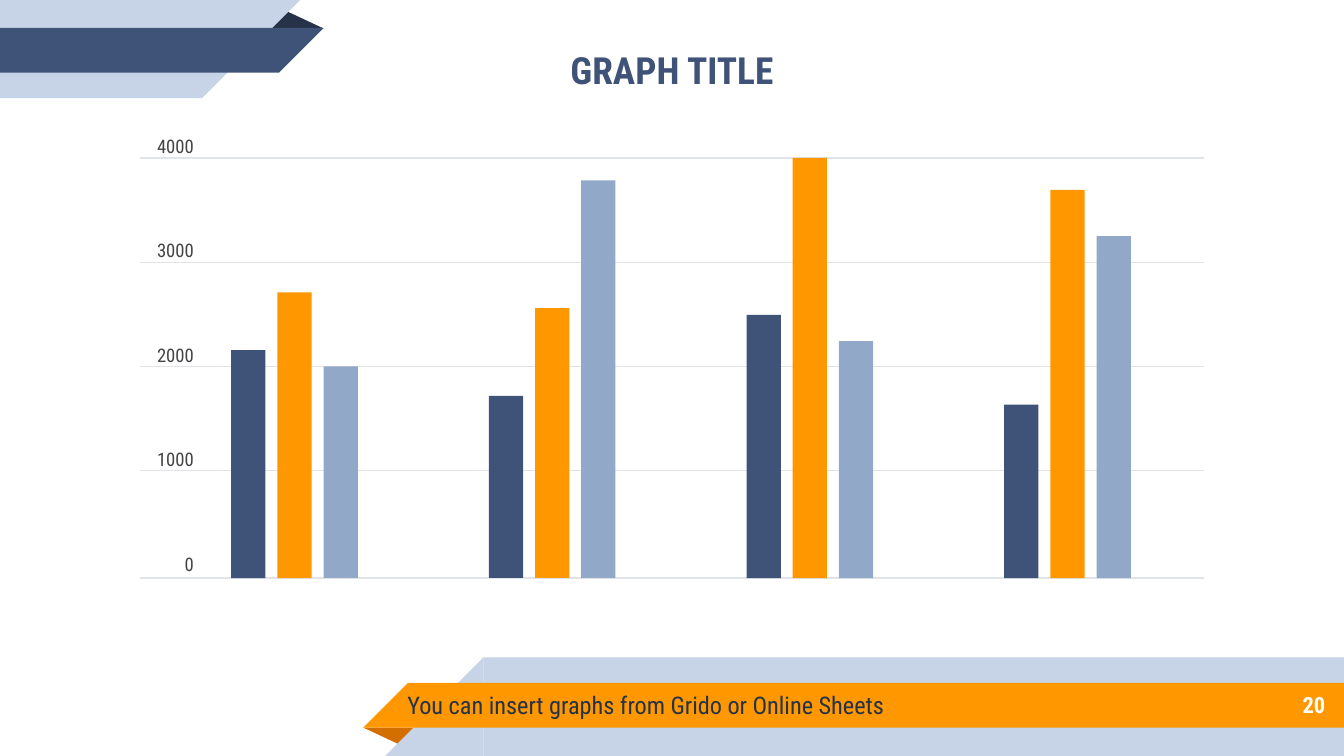
from pptx import Presentation
from pptx.dml.color import RGBColor
from pptx.enum.shapes import MSO_CONNECTOR, MSO_SHAPE
from pptx.enum.text import MSO_ANCHOR, PP_ALIGN
from pptx.oxml.ns import qn
from pptx.util import Pt
from lxml import etree

RECT, WEDGE, FOLD = MSO_SHAPE.RECTANGLE, MSO_SHAPE.RIGHT_TRIANGLE, MSO_SHAPE.ISOSCELES_TRIANGLE
LINE = MSO_CONNECTOR.STRAIGHT
LEFT, MID, RIGHT = PP_ALIGN.LEFT, PP_ALIGN.CENTER, PP_ALIGN.RIGHT
TOP, CENTRE = MSO_ANCHOR.TOP, MSO_ANCHOR.MIDDLE

NAVY = RGBColor(0x3F, 0x53, 0x78)
DARK = RGBColor(0x26, 0x32, 0x48)
PALE = RGBColor(0xC7, 0xD3, 0xE6)
BLUE = RGBColor(0x92, 0xA8, 0xC8)
ORANGE = RGBColor(0xFF, 0x98, 0x00)
RUST = RGBColor(0xD2, 0x6F, 0x00)
GRID = RGBColor(0xE0, 0xE4, 0xE9)
GREY = RGBColor(0x43, 0x43, 0x43)
WHITE = RGBColor(0xFF, 0xFF, 0xFF)
FONT = "Roboto Condensed"

# Content
TITLE = "GRAPH TITLE"
NOTE = "You can insert graphs from Grido or Online Sheets"
PAGE = "20"
TICKS = ["4000", "3000", "2000", "1000", "0"]
GROUPS = [(2170, 2720, 2015), (1735, 2570, 3785), (2505, 4000, 2255), (1650, 3695, 3255)]
COLORS = [NAVY, ORANGE, BLUE]

# Ribbons: kind, left, top, width, height, colour, turned by 180 degrees
RIBBONS = [
    (FOLD, 194.6, 389.8, 30.8, 9.8, RUST, True),
    (RECT, 259, 352.2, 461, 52.8, PALE, False),
    (WEDGE, 206.4, 352.2, 52.6, 52.8, PALE, False),
    (RECT, 218.5, 365.9, 501.5, 23.9, ORANGE, False),
    (WEDGE, 194.6, 365.9, 23.9, 23.9, ORANGE, False),
    (FOLD, 142.4, 5.4, 30.8, 9.8, DARK, False),
    (RECT, 0, 0, 108.2, 52.6, PALE, False),
    (WEDGE, 108.2, 0, 52.6, 52.6, PALE, True),
    (RECT, 0, 15, 149.4, 23.9, NAVY, False),
    (WEDGE, 149.4, 15, 23.9, 23.9, NAVY, True),
]

# Chart frame
X0, X1 = 75, 645
LINES = [84.6, 140.6, 196.4, 252, 309.7]
BASE, SCALE = LINES[-1], (LINES[-1] - LINES[0]) / 4000
START, STEP, PITCH, WIDE = 123.8, 138.05, 24.75, 18.4

deck = Presentation()
deck.slide_width, deck.slide_height = Pt(720), Pt(405)
slide = deck.slides.add_slide(deck.slide_layouts[5])
shapes = slide.shapes


def block(kind, x, y, w, h, color):
    item = shapes.add_shape(kind, Pt(x), Pt(y), Pt(w), Pt(h))
    item.shadow.inherit = False
    item.fill.solid()
    item.fill.fore_color.rgb = color
    item.line.fill.background()
    return item


def write(item, box, text, size, color, align, anchor=CENTRE, bold=False, inset=7.2, gap=0):
    item.left, item.top, item.width, item.height = [Pt(v) for v in box]
    frame = item.text_frame
    frame.text = text
    frame.word_wrap = True
    frame.vertical_anchor = anchor
    frame.margin_left = frame.margin_right = Pt(inset)
    frame.margin_top = frame.margin_bottom = Pt(inset)
    for i, para in enumerate(frame.paragraphs):
        para.alignment = align
        para.space_before = Pt(gap if i else 0)
        font = para.runs[0].font
        font.name, font.size, font.bold = FONT, Pt(size), bold
        font.color.rgb = color


def label(*args, **opts):
    write(shapes.add_textbox(0, 0, 0, 0), *args, **opts)


# Corner ribbons
for kind, x, y, w, h, color, turned in RIBBONS:
    item = block(kind, x, y, w, h, color)
    if kind == FOLD:
        item.adjustments[0] = 0.32
    if kind == WEDGE:
        item._element.spPr.find(qn("a:xfrm")).set("flipH", "1")
    if turned:
        item.rotation = 180

# Title, note and page number
write(shapes.title, (153, 7.2, 414, 60.5), TITLE, 20, NAVY, MID, bold=True)
label((211.2, 365, 473, 25.2), NOTE, 13, DARK, LEFT)
label((600, 365, 117, 25.2), PAGE, 12, WHITE, RIGHT, bold=True)

# Grid lines and scale
for y in LINES:
    rule = shapes.add_connector(LINE, Pt(X0), Pt(y), Pt(X1), Pt(y))
    rule.line.color.rgb = GRID
    rule.line.width = Pt(0.75)
    etree.SubElement(rule._element.spPr, qn("a:effectLst"))
label((X0, 72, 28.8, 238), "\n".join(TICKS), 10, GREY, RIGHT, anchor=TOP, inset=0, gap=44)

# Bars
for g, group in enumerate(GROUPS):
    for b, (value, color) in enumerate(zip(group, COLORS)):
        tall = value * SCALE
        block(RECT, START + g * STEP + b * PITCH, BASE - tall, WIDE, tall, color)

deck.save("out.pptx")
